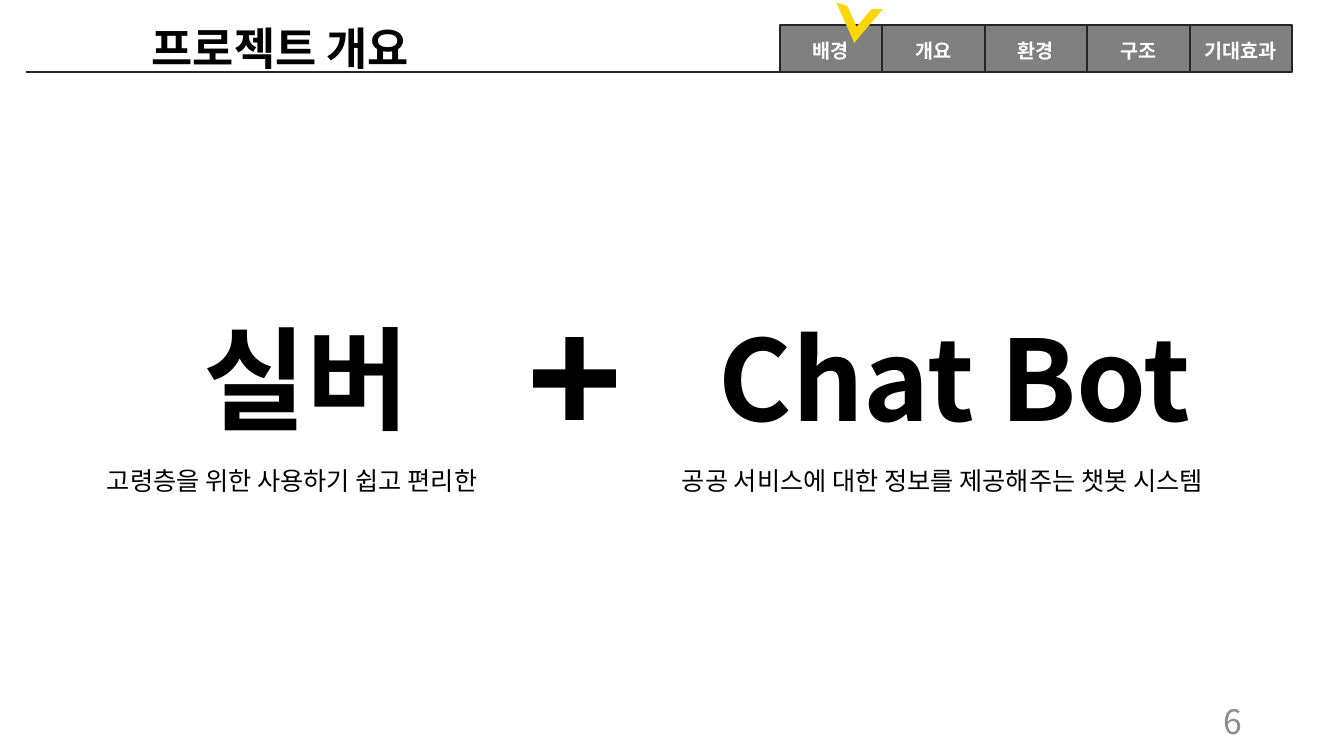
from dataclasses import dataclass

import pptx
import pptx.dml.color
import pptx.enum.shapes
import pptx.enum.text
import pptx.oxml
import pptx.oxml.ns
import pptx.util

SHAPE = pptx.enum.shapes.MSO_SHAPE
ALIGN = pptx.enum.text.PP_ALIGN
ANCHOR = pptx.enum.text.MSO_ANCHOR


@dataclass(frozen=True)
class Theme:
    font: str = "Noto Sans CJK KR"
    ink: str = "000000"
    rule: str = "262626"
    tab: str = "808080"
    tab_text: str = "FFFFFF"
    check: str = "FCD605"
    number: str = "8C8C8C"
    title_size: int = 32
    tab_size: int = 14
    word_size: int = 80
    caption_size: int = 18
    number_size: int = 24
    line_width: float = 1.5


@dataclass(frozen=True)
class Box:
    left: int
    top: int
    width: int
    height: int


@dataclass(frozen=True)
class Label:
    text: str
    box: Box
    size: int
    color: str
    bold: bool = False
    align: ALIGN = ALIGN.LEFT
    anchor: ANCHOR = ANCHOR.TOP


@dataclass(frozen=True)
class Mark:
    kind: SHAPE
    box: Box
    color: str
    adjustment: float
    rotation: float = 0
    flipped: bool = False


THEME = Theme()
TITLE = Label("프로젝트 개요", Box(-80, 16, 721, 65), THEME.title_size, THEME.ink,
              True, ALIGN.CENTER)

TABS = ["배경", "개요", "환경", "구조", "기대효과"]
TAB_BAR = Box(780, 25, 512, 47)

LABELS = [
    Label("실버", Box(154, 305, 306, 146), THEME.word_size, THEME.ink, True, ALIGN.CENTER),
    Label("Chat Bot", Box(672, 305, 566, 146), THEME.word_size, THEME.ink, True, ALIGN.CENTER),
    Label("고령층을 위한 사용하기 쉽고 편리한", Box(97, 460, 654, 72),
          THEME.caption_size, THEME.ink),
    Label("공공 서비스에 대한 정보를 제공해주는 챗봇 시스템", Box(672, 460, 654, 72),
          THEME.caption_size, THEME.ink),
    Label("6", Box(950, 701, 302, 40), THEME.number_size, THEME.number,
          align=ALIGN.RIGHT, anchor=ANCHOR.MIDDLE),
]

MARKS = [
    Mark(SHAPE.DIAGONAL_STRIPE, Box(854, 9, 29, 34), THEME.check, 0.61),
    Mark(SHAPE.DIAGONAL_STRIPE, Box(831, 6, 29, 34), THEME.check, 0.61, 16.5, True),
    Mark(SHAPE.CROSS, Box(533, 337, 83, 83), THEME.ink, 0.39),
]


def px(n: int) -> pptx.util.Emu:
    return pptx.util.Emu(round(n * 914400 / 100.8))


def rgb(color: str) -> pptx.dml.color.RGBColor:
    return pptx.dml.color.RGBColor.from_string(color)


def frame(box: Box) -> tuple:
    return px(box.left), px(box.top), px(box.width), px(box.height)


def write(sp, label: Label) -> None:
    tf = sp.text_frame
    tf.word_wrap = True
    tf.auto_size = pptx.enum.text.MSO_AUTO_SIZE.NONE
    tf.vertical_anchor = label.anchor
    p = tf.paragraphs[0]
    p.text = label.text
    p.alignment = label.align
    p.font.name = THEME.font
    p.font.size = pptx.util.Pt(label.size)
    p.font.bold = label.bold
    p.font.color.rgb = rgb(label.color)
    # Hangul takes its face from the East Asian font
    ea = pptx.oxml.parse_xml(
        f'<a:ea {pptx.oxml.ns.nsdecls("a")} typeface="{THEME.font}"/>')
    p.font._element.find(pptx.oxml.ns.qn("a:latin")).addnext(ea)


def add_title(slide, label: Label) -> None:
    sp = slide.shapes.title
    sp.left, sp.top, sp.width, sp.height = frame(label.box)
    write(sp, label)


def add_label(slide, label: Label) -> None:
    write(slide.shapes.add_textbox(*frame(label.box)), label)


def add_rule(slide, left: int, right: int, y: int) -> None:
    line = slide.shapes.add_connector(
        pptx.enum.shapes.MSO_CONNECTOR.STRAIGHT, px(left), px(y), px(right), px(y))
    line.line.color.rgb = rgb(THEME.rule)
    line.line.width = pptx.util.Pt(THEME.line_width)
    line._element.spPr.append(
        pptx.oxml.parse_xml(f'<a:effectLst {pptx.oxml.ns.nsdecls("a")}/>'))


def add_filled(slide, kind: SHAPE, box: Box, color: str):
    sp = slide.shapes.add_shape(kind, *frame(box))
    sp.shadow.inherit = False
    sp.fill.solid()
    sp.fill.fore_color.rgb = rgb(color)
    sp.line.fill.background()
    return sp


def add_tab(slide, text: str, box: Box) -> None:
    sp = add_filled(slide, SHAPE.RECTANGLE, box, THEME.tab)
    sp.line.color.rgb = rgb(THEME.rule)
    sp.line.width = pptx.util.Pt(THEME.line_width)
    write(sp, Label(text, box, THEME.tab_size, THEME.tab_text, True,
                    ALIGN.CENTER, ANCHOR.MIDDLE))
    sp.text_frame.margin_bottom = 0


def add_mark(slide, mark: Mark) -> None:
    sp = add_filled(slide, mark.kind, mark.box, mark.color)
    sp.adjustments[0] = mark.adjustment
    sp.rotation = mark.rotation
    if mark.flipped:
        sp._element.spPr.find(pptx.oxml.ns.qn("a:xfrm")).set("flipH", "1")


def main() -> None:
    prs = pptx.Presentation()
    prs.slide_width, prs.slide_height = px(1344), px(756)
    slide = prs.slides.add_slide(prs.slide_layouts[5])

    # Heading and rule
    add_rule(slide, 26, 1292, 72)
    add_title(slide, TITLE)

    # Section tabs
    for i, text in enumerate(TABS):
        left, right = (TAB_BAR.left + round(TAB_BAR.width * n / len(TABS))
                       for n in (i, i + 1))
        add_tab(slide, text, Box(left, TAB_BAR.top, right - left, TAB_BAR.height))

    # Check mark and plus sign
    for mark in MARKS:
        add_mark(slide, mark)

    # Words, captions and page number
    for label in LABELS:
        add_label(slide, label)

    prs.save("out.pptx")


if __name__ == "__main__":
    main()
